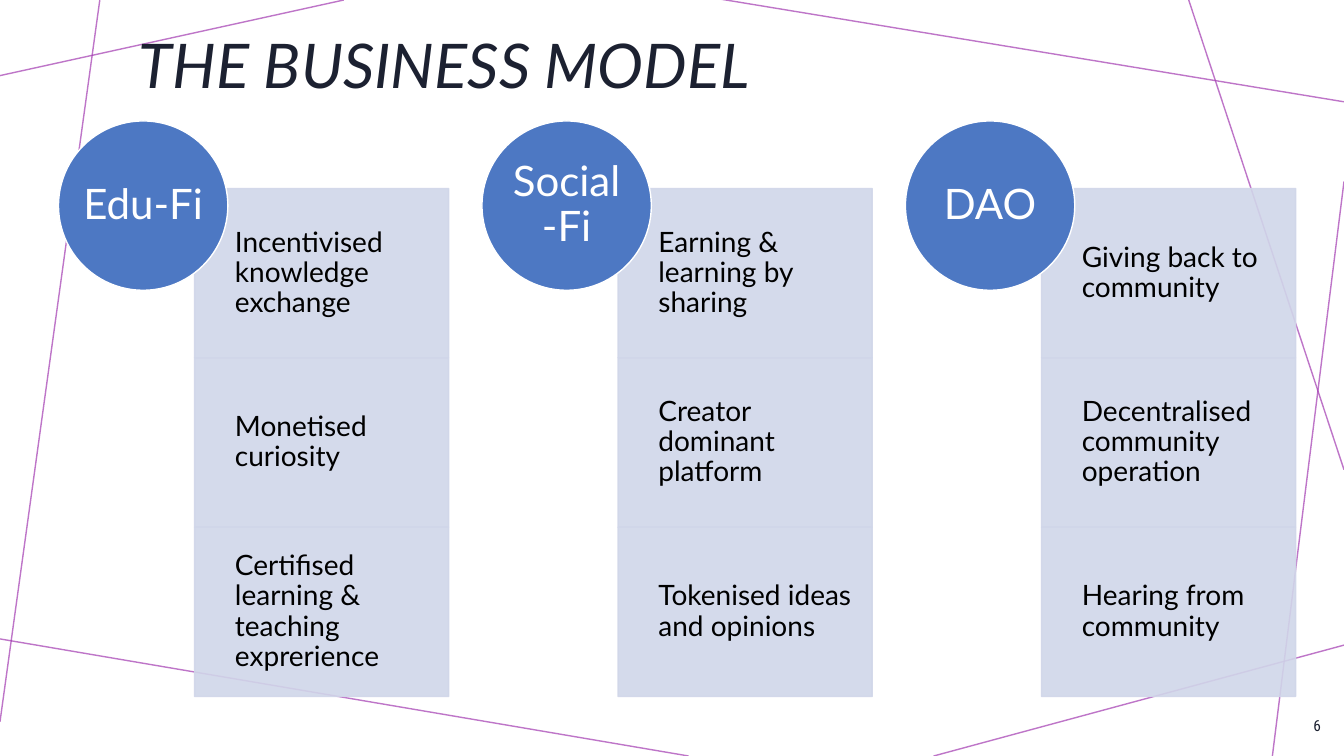
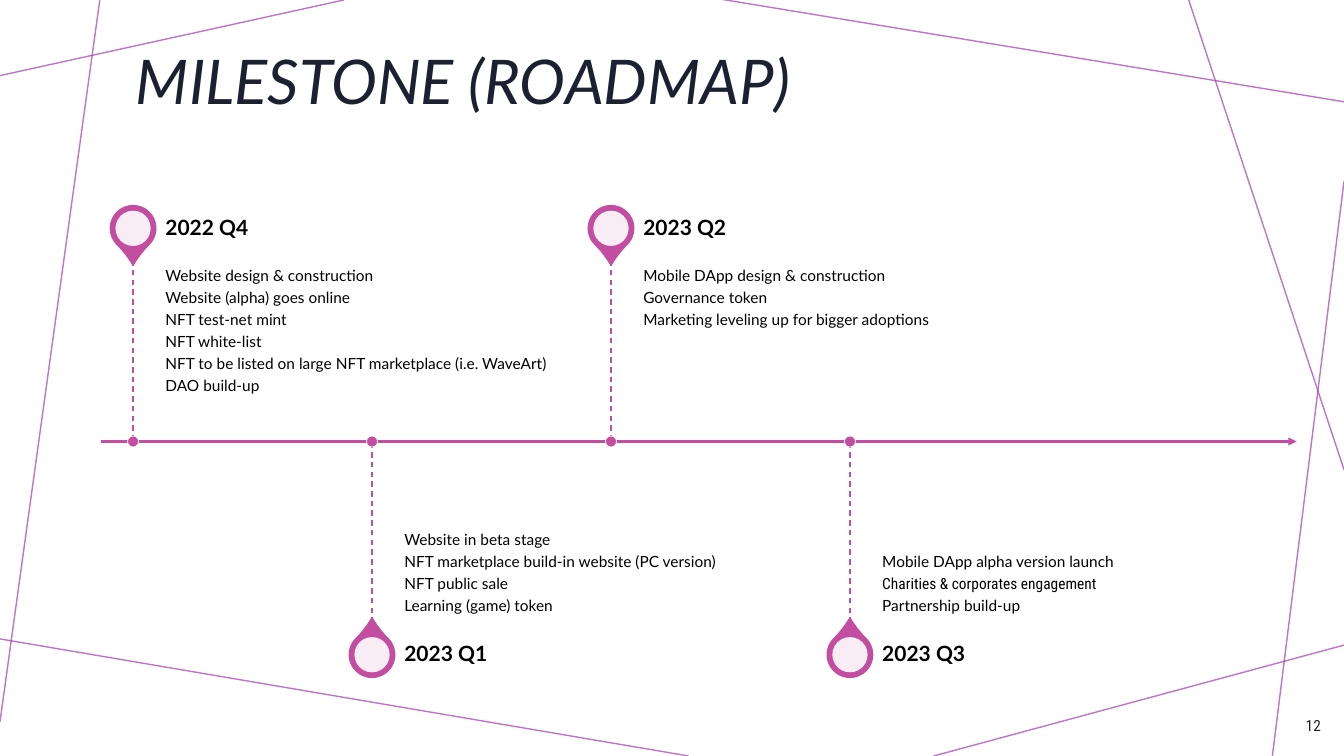
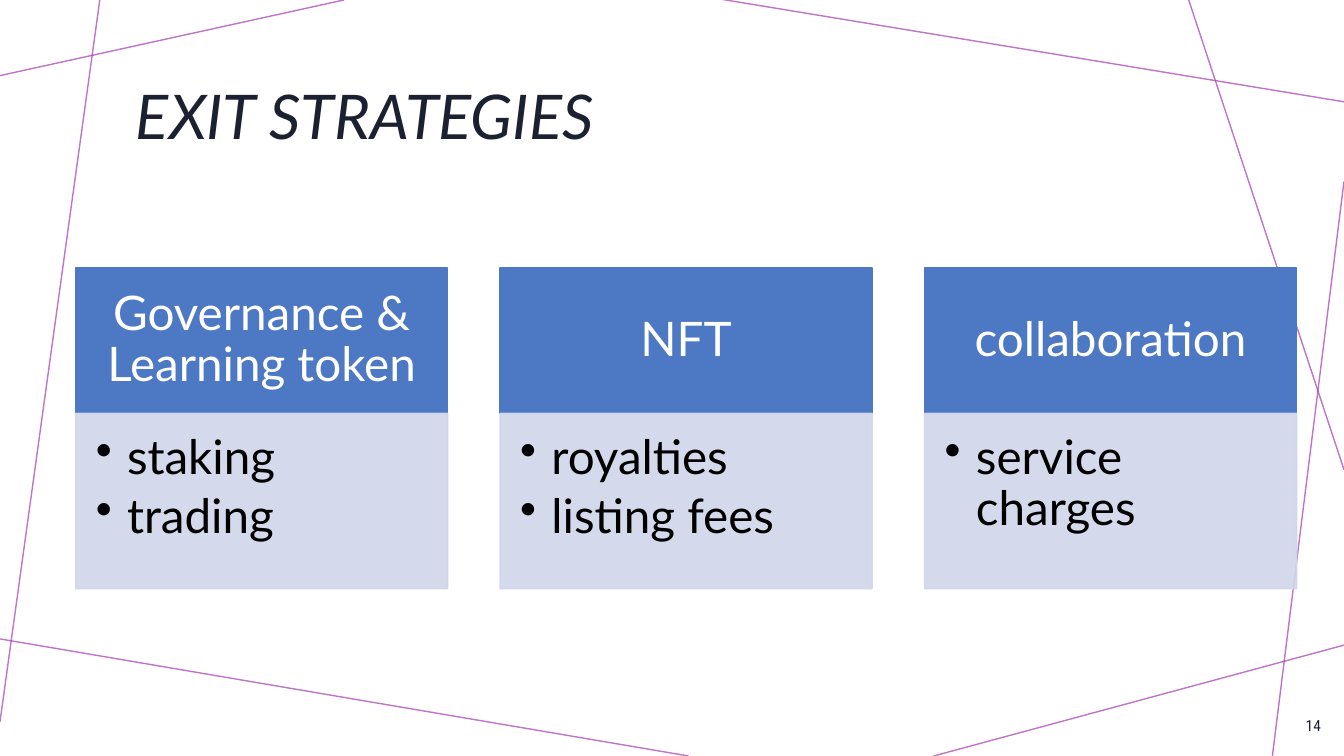
from lxml.etree import SubElement
from pptx import Presentation
from pptx.dml.color import RGBColor
from pptx.enum.dml import MSO_LINE
from pptx.enum.shapes import MSO_CONNECTOR, MSO_SHAPE
from pptx.enum.text import MSO_ANCHOR, PP_ALIGN
from pptx.oxml.ns import qn
from pptx.util import Inches, Pt

COLOURS = {
    "ink": "1C2131",
    "text": "000000",
    "white": "FFFFFF",
    "web": "A33BB1",
    "blue": "4D78C3",
    "pale": "D0D6E9",
    "pink": "C34DA0",
}
BODY_FONT = "Lato"
NARROW_FONT = "Roboto Condensed"
WEB_LINES = [
    (3.41, 0, 0, 0.75),
    (0.99, 0, 0, 7.16),
    (6.83, 7.5, -0.05, 6.33),
    (13.33, 6.4, 9.26, 7.5),
    (13.33, 1.8, 12.62, 7.5),
    (13.33, 4.66, 11.79, 0),
    (13.33, 1.01, 7.14, -0.01),
]


def colour(name):
    """Return the named colour of the palette."""
    return RGBColor.from_string(COLOURS[name])


def set_opacity(item, percent):
    """Make the fill and line of a shape or connector partly transparent."""
    for tone in item.element.spPr.iter(qn("a:srgbClr")):
        SubElement(tone, qn("a:alpha"), val=str(percent * 1000))


def add_line(page, start, end, tone, width=1, dashed=False, arrow=False):
    """Draw a straight line between two points."""
    points = [Inches(value) for value in (*start, *end)]
    line = page.shapes.add_connector(MSO_CONNECTOR.STRAIGHT, *points)
    line.line.color.rgb = colour(tone)
    line.line.width = Pt(width)
    if dashed:
        line.line.dash_style = MSO_LINE.DASH
    if arrow:
        SubElement(line.element.spPr.find(qn("a:ln")), qn("a:tailEnd"), type="triangle")
    SubElement(line.element.spPr, qn("a:effectLst"))
    return line


def add_block(page, kind, box, fill, outline=None, width=1, opacity=100):
    """Draw a filled preset shape in a box."""
    shape = page.shapes.add_shape(kind, *[Inches(value) for value in box])
    shape.shadow.inherit = False
    shape.fill.solid()
    shape.fill.fore_color.rgb = colour(fill)
    if outline:
        shape.line.color.rgb = colour(outline)
        shape.line.width = Pt(width)
    else:
        shape.line.fill.background()
    if opacity < 100:
        set_opacity(shape, opacity)
    return shape


def add_label(page, box):
    """Add an empty text box."""
    return page.shapes.add_textbox(*[Inches(value) for value in box])


def add_bullet(para, indent):
    """Give a paragraph a round bullet with a hanging indent."""
    properties = para._p.get_or_add_pPr()
    properties.set("marL", str(Inches(indent)))
    properties.set("indent", str(-Inches(indent)))
    SubElement(properties, qn("a:buChar"), char="•")


def write(shape, lines, size, tone="text", font=BODY_FONT, align=PP_ALIGN.LEFT,
          anchor=MSO_ANCHOR.MIDDLE, insets=(0.1, 0.05, 0.1, 0.05), spacing=0.9,
          after=0.35, bold=False, italic=False, bullets=False):
    """Write one paragraph per line into a shape and return the paragraphs."""
    frame = shape.text_frame
    frame.word_wrap = True
    frame.vertical_anchor = anchor
    (frame.margin_left, frame.margin_top,
     frame.margin_right, frame.margin_bottom) = [Inches(value) for value in insets]
    frame.text = "\n".join(lines)
    for para in frame.paragraphs:
        para.alignment = align
        para.line_spacing = spacing
        para.space_after = Pt(round(size * after, 1))
        if bullets:
            add_bullet(para, 0.31)
        para.font.name = font
        para.font.size = Pt(size)
        para.font.bold = bold
        para.font.italic = italic
        para.font.color.rgb = colour(tone)
    return frame.paragraphs


def add_page(deck, title, title_box, number):
    """Add a slide with the web of lines, the title and the page number."""
    page = deck.slides.add_slide(deck.slide_layouts[6])
    for left, top, right, bottom in WEB_LINES:
        set_opacity(add_line(page, (left, top), (right, bottom), "web"), 70)
    write(add_label(page, title_box), [title], 44, "ink", after=0, italic=True)
    write(add_label(page, (12.69, 7, 0.51, 0.4)), [str(number)], 11, "ink",
          font=NARROW_FONT, align=PP_ALIGN.RIGHT, spacing=1, after=0)
    return page


def add_pillar(page, left, top, heading, points):
    """Draw a stack of cells with a round heading over its corner."""
    size = 1.68
    for row, point in enumerate(points):
        box = (left + 1.35, top + 0.67 + row * size, 2.52, size)
        cell = add_block(page, MSO_SHAPE.RECTANGLE, box, "pale", "pale", opacity=90)
        write(cell, [point], 20, insets=(0.4, 0.16, 0.16, 0.16))
    disc = add_block(page, MSO_SHAPE.OVAL, (left, top, size, size), "blue", "white")
    write(disc, [heading], 30, "white", align=PP_ALIGN.CENTER, insets=(0, 0, 0, 0))


def add_milestone(page, stem, axis, above, date, steps):
    """Draw a pin, its stem, date and steps on one side of the axis."""
    side = -1 if above else 1
    reach, label_height = 1.8, 0.63
    pin_centre = axis + side * 2.115

    def centred(size, middle):
        """Return a square box centred on the stem."""
        return stem - size / 2, middle - size / 2, size, size

    pin = add_block(page, MSO_SHAPE.TEAR, centred(0.45, pin_centre), "pink", "pink")
    pin.adjustments[0] = 1.15
    pin.rotation = 135 if above else 315
    add_block(page, MSO_SHAPE.OVAL, centred(0.35, pin_centre), "white", opacity=90)
    list_top = axis - reach if above else axis
    label_top = list_top - label_height if above else axis + reach
    paras = write(
        add_label(page, (stem + 0.32, list_top, 3.95, reach)), steps, 11,
        anchor=MSO_ANCHOR.TOP if above else MSO_ANCHOR.BOTTOM,
        insets=(0, 0.08, 0.08, 0.11) if above else (0, 0.11, 0, 0.08))
    write(add_label(page, (stem + 0.32, label_top, 3.95, label_height)), [date], 15,
          bold=True, insets=(0, 0, 0.1, 0))
    add_line(page, (stem, axis + side * reach), (stem, axis), "pink", dashed=True)
    add_block(page, MSO_SHAPE.OVAL, centred(0.11, axis), "pink", "white", width=0.5)
    return paras


def add_card(page, left, top, heading, points):
    """Draw a heading bar with a bulleted panel below it."""
    width, bar_height = 3.69, 1.44
    bar = add_block(page, MSO_SHAPE.RECTANGLE, (left, top, width, bar_height),
                    "blue", "blue")
    write(bar, [heading], 34, "white", align=PP_ALIGN.CENTER,
          insets=(0.26, 0.15, 0.26, 0.15))
    panel = add_block(page, MSO_SHAPE.RECTANGLE,
                      (left, top + bar_height, width, 1.74), "pale", "pale", opacity=90)
    write(panel, points, 34, anchor=MSO_ANCHOR.TOP, insets=(0.2, 0.2, 0.26, 0.3),
          after=0.15, bullets=True)


def build_model(deck):
    """Build the business model slide."""
    page = add_page(deck, "THE BUSINESS MODEL", (1.28, 0.14, 10.81, 1.08), 6)
    pillars = [
        ("Edu-Fi", ["Incentivised knowledge exchange", "Monetised curiosity",
                    "Certifised learning & teaching exprerience"]),
        ("Social-Fi", ["Earning & learning by sharing", "Creator dominant platform",
                       "Tokenised ideas and opinions"]),
        ("DAO", ["Giving back to community", "Decentralised community operation",
                 "Hearing from community"]),
    ]
    for column, (heading, points) in enumerate(pillars):
        add_pillar(page, 0.58 + column * 4.2, 1.2, heading, points)


def build_roadmap(deck):
    """Build the roadmap slide."""
    page = add_page(deck, "MILESTONE (ROADMAP)", (1.25, 0.08, 10.83, 1.51), 12)
    axis = 4.38
    add_line(page, (1, axis), (12.86, axis), "pink", width=1.5, arrow=True)
    milestones = [
        ("2022 Q4", ["Website design & construction", "Website (alpha) goes online",
                     "NFT test-net mint", "NFT white-list",
                     "NFT to be listed on large NFT marketplace (i.e. WaveArt)",
                     "DAO build-up"]),
        ("2023 Q1", ["Website in beta stage",
                     "NFT marketplace build-in website (PC version)",
                     "NFT public sale", "Learning (game) token"]),
        ("2023 Q2", ["Mobile DApp design & construction", "Governance token",
                     "Marketing leveling up for bigger adoptions"]),
        ("2023 Q3", ["Mobile DApp alpha version launch",
                     "Charities & corporates engagement", "Partnership build-up"]),
    ]
    for place, (date, steps) in enumerate(milestones):
        paras = add_milestone(page, 1.32 + place * 2.37, axis, place % 2 == 0, date, steps)
    paras[1].font.name = NARROW_FONT


def build_exit(deck):
    """Build the exit strategies slide."""
    page = add_page(deck, "EXIT STRATEGIES", (1.25, 0.43, 10.83, 1.51), 14)
    cards = [
        ("Governance & Learning token", ["staking", "trading"]),
        ("NFT", ["royalties", "listing fees"]),
        ("collaboration", ["service charges"]),
    ]
    for column, (heading, points) in enumerate(cards):
        add_card(page, 0.75 + column * 4.21, 2.66, heading, points)


def main():
    """Build and save the deck."""
    deck = Presentation()
    deck.slide_width = Inches(13.33)
    deck.slide_height = Inches(7.5)
    build_model(deck)
    build_roadmap(deck)
    build_exit(deck)
    deck.save("out.pptx")


if __name__ == "__main__":
    main()
